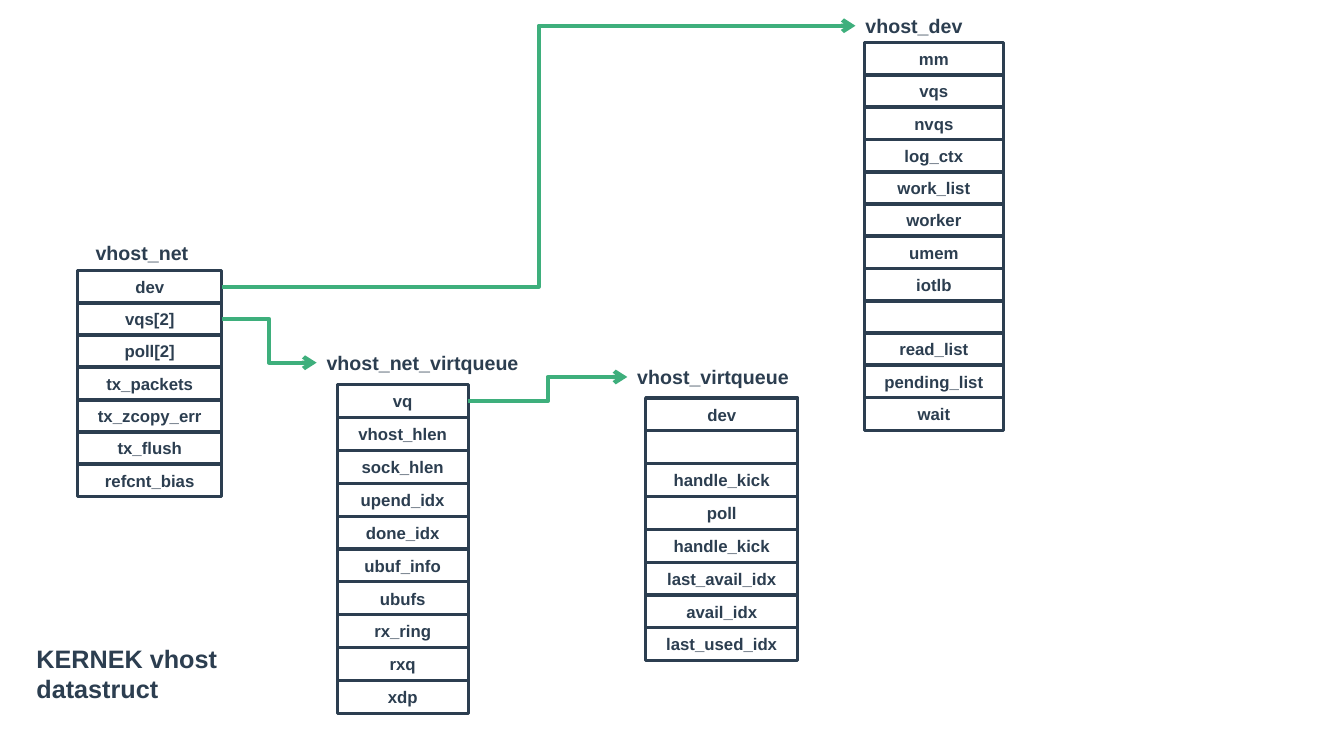
from pptx import Presentation
from pptx.dml.color import RGBColor
from pptx.enum.shapes import MSO_CONNECTOR, MSO_SHAPE
from pptx.enum.text import MSO_ANCHOR, PP_ALIGN
from pptx.oxml.ns import qn
from pptx.util import Cm, Pt
from lxml import etree

RECT = MSO_SHAPE.RECTANGLE
ELBOW = MSO_CONNECTOR.ELBOW
LEFT, CENTER = PP_ALIGN.LEFT, PP_ALIGN.CENTER
MIDDLE = MSO_ANCHOR.MIDDLE
LEFT_SITE, RIGHT_SITE = 1, 3  # connection sites of a rectangle

THEME = {
    "font": "Arial",
    "ink": RGBColor(0x2C, 0x3E, 0x50),
    "arrow": RGBColor(0x3E, 0xAF, 0x7C),
    "title": Pt(18),
    "label": Pt(14),
    "field": Pt(12),
    "border": Pt(2.25),
    "arrow_width": Pt(3),
}
ROW_H, LABEL_H = 0.83, 0.86

# name: label (left, top, width), fields (left, width, first top, last top), names
STRUCTS = {
    "vhost_net": ((2.16, 5.94, 3.23), (1.96, 3.63, 6.81, 11.69), [
        "dev", "vqs[2]", "poll[2]", "tx_packets", "tx_zcopy_err",
        "tx_flush", "refcnt_bias"]),
    "vhost_dev": ((21.56, 0.22, 3.3), (21.78, 3.51, 1.07, 10.01), [
        "mm", "vqs", "nvqs", "log_ctx", "work_list", "worker", "umem",
        "iotlb", "", "read_list", "pending_list", "wait"]),
    "vhost_net_virtqueue": ((7.98, 8.71, 6.17), (8.5, 3.3, 9.69, 17.15), [
        "vq", "vhost_hlen", "sock_hlen", "upend_idx", "done_idx",
        "ubuf_info", "ubufs", "rx_ring", "rxq", "xdp"]),
    "vhost_virtqueue": ((15.81, 9.07, 5), (16.27, 3.84, 10.03, 15.82), [
        "dev", "", "handle_kick", "poll", "handle_kick", "last_avail_idx",
        "avail_idx", "last_used_idx"]),
}

# struct, row of the pointer field, struct it points to
POINTERS = [
    ("vhost_net", 0, "vhost_dev"),
    ("vhost_net", 1, "vhost_net_virtqueue"),
    ("vhost_net_virtqueue", 0, "vhost_virtqueue"),
]


def write(sp, lines, size, align=LEFT):
    tf = sp.text_frame
    tf.word_wrap = True
    for i, line in enumerate(lines):
        p = tf.add_paragraph() if i else tf.paragraphs[0]
        p.alignment = align
        r = p.add_run()
        r.text = line
        r.font.name = THEME["font"]
        r.font.size = size
        r.font.bold = True
        r.font.color.rgb = THEME["ink"]


prs = Presentation()
prs.slide_width, prs.slide_height = Cm(33.87), Cm(19.05)
s = prs.slides.add_slide(prs.slide_layouts[6])

# Slide title
title = s.shapes.add_textbox(Cm(0.67), Cm(16.08), Cm(5.59), Cm(1.8))
write(title, ["KERNEK vhost", "datastruct"], THEME["title"])

# Structs: a label above a column of fields
labels, rows = {}, {}
for name, (label_at, (left, width, first, last), fields) in STRUCTS.items():
    x, y, w = label_at
    labels[name] = s.shapes.add_textbox(Cm(x), Cm(y), Cm(w), Cm(LABEL_H))
    write(labels[name], [name], THEME["label"])
    pitch = (last - first) / (len(fields) - 1)
    for i, field in enumerate(fields):
        sp = s.shapes.add_shape(
            RECT, Cm(left), Cm(first + i * pitch), Cm(width), Cm(ROW_H))
        sp.shadow.inherit = False
        sp.fill.background()
        sp.line.color.rgb = THEME["ink"]
        sp.line.width = THEME["border"]
        sp.text_frame.vertical_anchor = MIDDLE
        if field:
            write(sp, [field], THEME["field"], CENTER)
        rows[name, i] = sp

# Pointers from a field to the label of its struct
for source, row, target in POINTERS:
    field, label = rows[source, row], labels[target]
    cxn = s.shapes.add_connector(
        ELBOW, field.left + field.width, field.top + field.height // 2,
        label.left, label.top + label.height // 2)
    cxn.begin_connect(field, RIGHT_SITE)
    cxn.end_connect(label, LEFT_SITE)
    cxn.line.color.rgb = THEME["arrow"]
    cxn.line.width = THEME["arrow_width"]
    spPr = cxn._element.spPr
    etree.SubElement(spPr.find(qn("a:ln")), qn("a:tailEnd"), type="arrow")
    etree.SubElement(spPr, qn("a:effectLst"))

prs.save("out.pptx")
